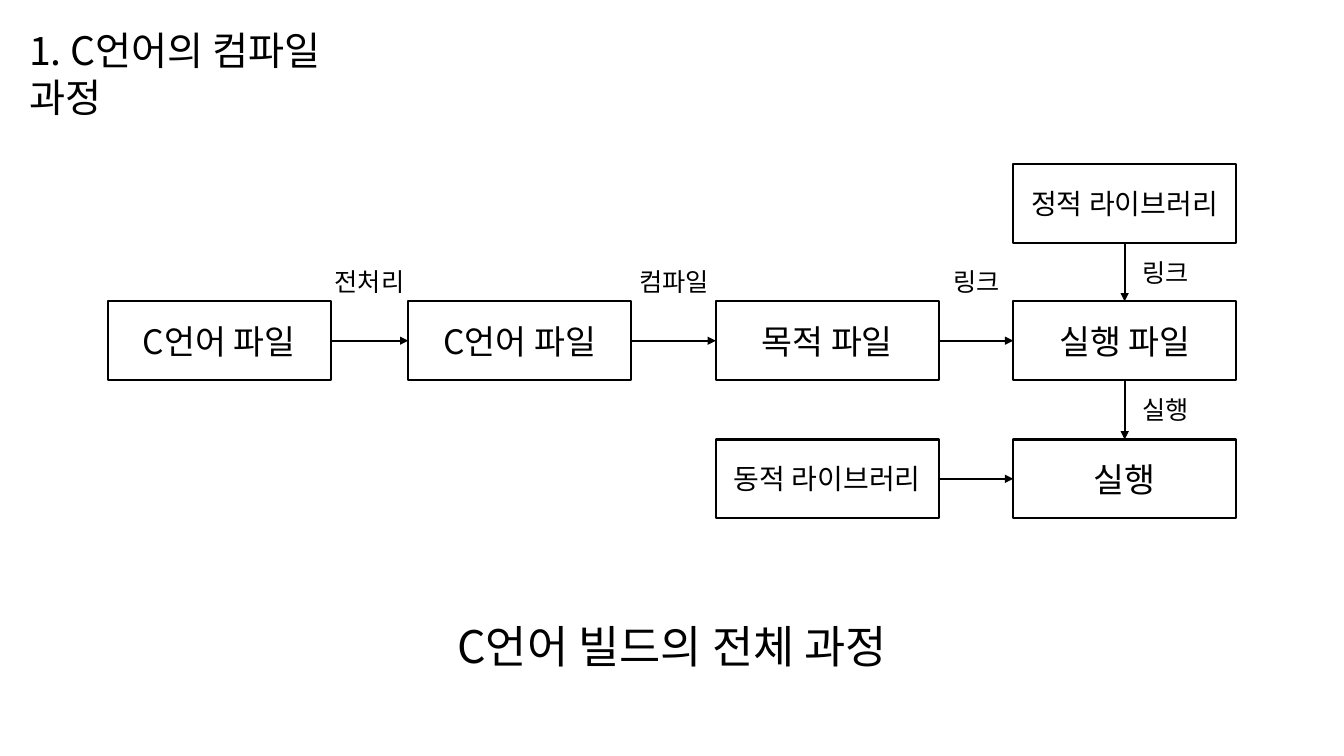
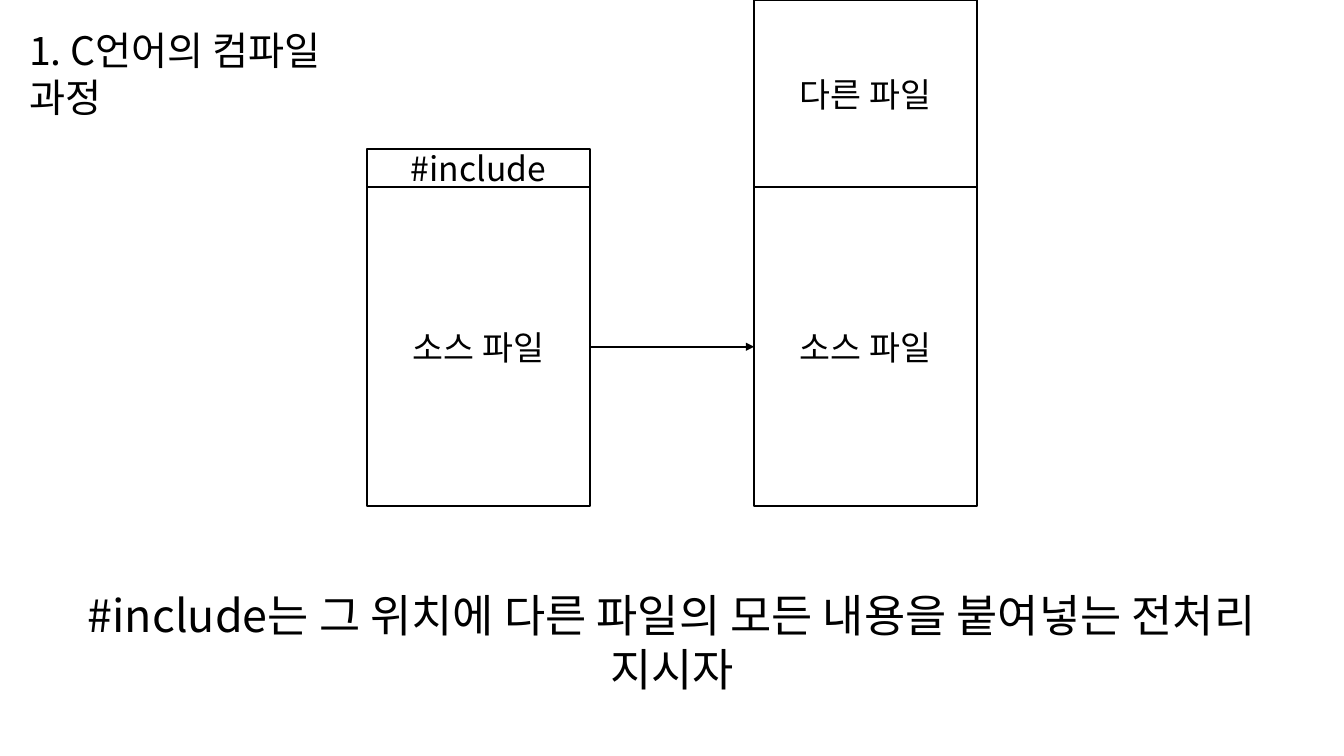
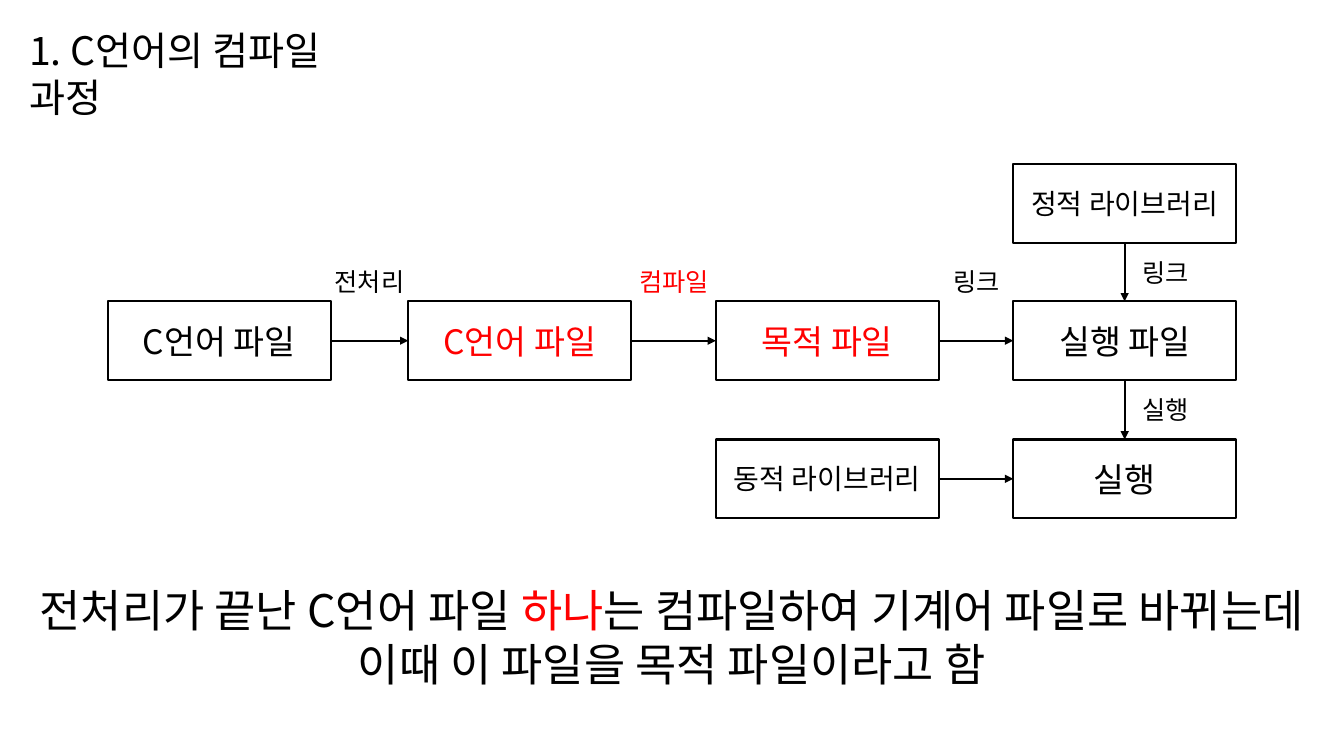
from dataclasses import dataclass

from lxml.etree import SubElement
from pptx import Presentation
from pptx.dml.color import RGBColor as Rgb
from pptx.enum.shapes import MSO_CONNECTOR as Link, MSO_SHAPE as Shape
from pptx.enum.text import MSO_ANCHOR as Anchor, PP_ALIGN as Align
from pptx.oxml.ns import qn
from pptx.util import Pt

SCALE = 9144
TOP, LEFT, BOTTOM, RIGHT = range(4)


@dataclass(frozen=True)
class Theme:
    """Colours, font and sizes shared by all slides."""
    ink: Rgb = Rgb(0, 0, 0)
    paper: Rgb = Rgb(255, 255, 255)
    hot: Rgb = Rgb(255, 0, 0)
    font: str = "Noto Sans CJK KR"
    title: int = 28
    note: int = 32
    box: int = 24
    small: int = 20
    label: int = 18
    line: float = 1.5


THEME = Theme()
TITLE = "1. C언어의 컴파일 과정"
BOX_W, BOX_H = 221, 78
COLS = (107, 405, 710, 1005)
ROWS = (163, 299, 436)
BOXES = {
    "source": (0, 1, "C언어 파일", THEME.box),
    "clean": (1, 1, "C언어 파일", THEME.box),
    "object": (2, 1, "목적 파일", THEME.box),
    "program": (3, 1, "실행 파일", THEME.box),
    "static": (3, 0, "정적 라이브러리", THEME.small),
    "shared": (2, 2, "동적 라이브러리", THEME.small),
    "run": (3, 2, "실행", THEME.box),
}
ACROSS = (
    ("source", "clean", "전처리"),
    ("clean", "object", "컴파일"),
    ("object", "program", "링크"),
    ("shared", "run", None),
)
DOWN = (("static", "program", "링크"), ("program", "run", "실행"))


def px(*nums):
    """Turn px lengths into EMU."""
    return [round(num * SCALE) for num in nums]


def write(frame, lines, size, color=THEME.ink, align=Align.CENTER):
    """Fill a frame with lines, each a list of (text, colour or None) runs."""
    for i, line in enumerate(lines):
        para = frame.add_paragraph() if i else frame.paragraphs[0]
        para.alignment = align
        font = para.font
        font.size, font.name = Pt(size), THEME.font
        font.color.rgb = color
        east = SubElement(font._element, qn("a:ea"))
        east.set("typeface", THEME.font)
        for text, tint in line:
            run = para.add_run()
            run.text = text
            if tint is not None:
                run.font.color.rgb = tint


def text(slide, area, lines, size, wrap=True, **style):
    """Add a text box."""
    frame = slide.shapes.add_textbox(*px(*area)).text_frame
    frame.word_wrap = wrap
    write(frame, lines, size, **style)


def box(shapes, area, words, size=THEME.box, color=THEME.ink):
    """Add an outlined box with centred words."""
    shape = shapes.add_shape(Shape.RECTANGLE, *px(*area))
    shape.shadow.inherit = False
    shape.fill.solid()
    shape.fill.fore_color.rgb = THEME.paper
    shape.line.color.rgb = THEME.ink
    shape.line.width = Pt(THEME.line)
    shape.text_frame.vertical_anchor = Anchor.MIDDLE
    write(shape.text_frame, [[(words, None)]], size, color)
    return shape


def arrow(slide, start, end, out=RIGHT, into=LEFT):
    """Join two boxes with an arrow."""
    line = slide.shapes.add_connector(Link.STRAIGHT, 0, 0, 0, 0)
    line.begin_connect(start, out)
    line.end_connect(end, into)
    line.line.color.rgb = THEME.ink
    line.line.width = Pt(THEME.line)
    SubElement(line.line._get_or_add_ln(), qn("a:tailEnd")).set("type", "triangle")
    SubElement(line._element.spPr, qn("a:effectLst"))


def page(deck):
    """Add a blank slide with the shared title."""
    slide = deck.slides.add_slide(deck.slide_layouts[6])
    text(slide, (19, 21, 388, 57), [[(TITLE, None)]], THEME.title, align=Align.LEFT)
    return slide


def flow(slide, hot=()):
    """Draw the build flow, with the hot boxes and labels in red."""
    def tint(key):
        return THEME.hot if key in hot else THEME.ink

    def label(left, top, wide, words):
        text(slide, (left, top, wide, 40), [[(words, None)]], THEME.label,
             wrap=False, color=tint(words))

    made = {}
    for key, (col, row, words, size) in BOXES.items():
        area = (COLS[col], ROWS[row], BOX_W, BOX_H)
        made[key] = box(slide.shapes, area, words, size, tint(key))
    for start, end, words in ACROSS:
        arrow(slide, made[start], made[end])
        if words:
            mid = (COLS[BOXES[start][0]] + BOX_W + COLS[BOXES[end][0]]) // 2
            label(mid - 44, ROWS[1] - 40, 89, words)
    for start, end, words in DOWN:
        arrow(slide, made[start], made[end], BOTTOM, TOP)
        mid = (ROWS[BOXES[start][1]] + BOX_H + ROWS[BOXES[end][1]]) // 2
        label(COLS[3] + BOX_W // 2 + 8, mid - 20, 66, words)


def build(deck):
    """Show the whole build."""
    slide = page(deck)
    flow(slide)
    text(slide, (437, 609, 460, 64), [[("C언어 빌드의 전체 과정", None)]], THEME.note)


def include(deck):
    """Show how #include pastes another file."""
    slide = page(deck)
    old, new, top, tall = 364, 748, 186, 316
    pair = slide.shapes.add_group_shape().shapes
    before = box(pair, (old, top, BOX_W, tall), "소스 파일")
    box(pair, (old, top - 38, BOX_W, 38), "#include")
    after = box(slide.shapes, (new, top, BOX_W, tall), "소스 파일")
    box(slide.shapes, (new, 0, BOX_W, top), "다른 파일")
    arrow(slide, before, after)
    note = "#include는 그 위치에 다른 파일의 모든 내용을 붙여넣는 전처리 지시자"
    text(slide, (12, 578, 1309, 64), [[(note, None)]], THEME.note)


def compiling(deck):
    """Show the compile step."""
    slide = page(deck)
    flow(slide, ("clean", "object", "컴파일"))
    text(slide, (26, 573, 1281, 118), [
        [("전처리가 끝난 C언어 파일 ", None), ("하나", THEME.hot),
         ("는 컴파일하여 기계어 파일로 바뀌는데", None)],
        [("이때 이 파일을 목적 파일이라고 함", None)],
    ], THEME.note)


def main():
    """Build and save the deck."""
    deck = Presentation()
    deck.slide_width, deck.slide_height = px(1333, 750)
    build(deck)
    include(deck)
    compiling(deck)
    deck.save("out.pptx")


if __name__ == "__main__":
    main()
